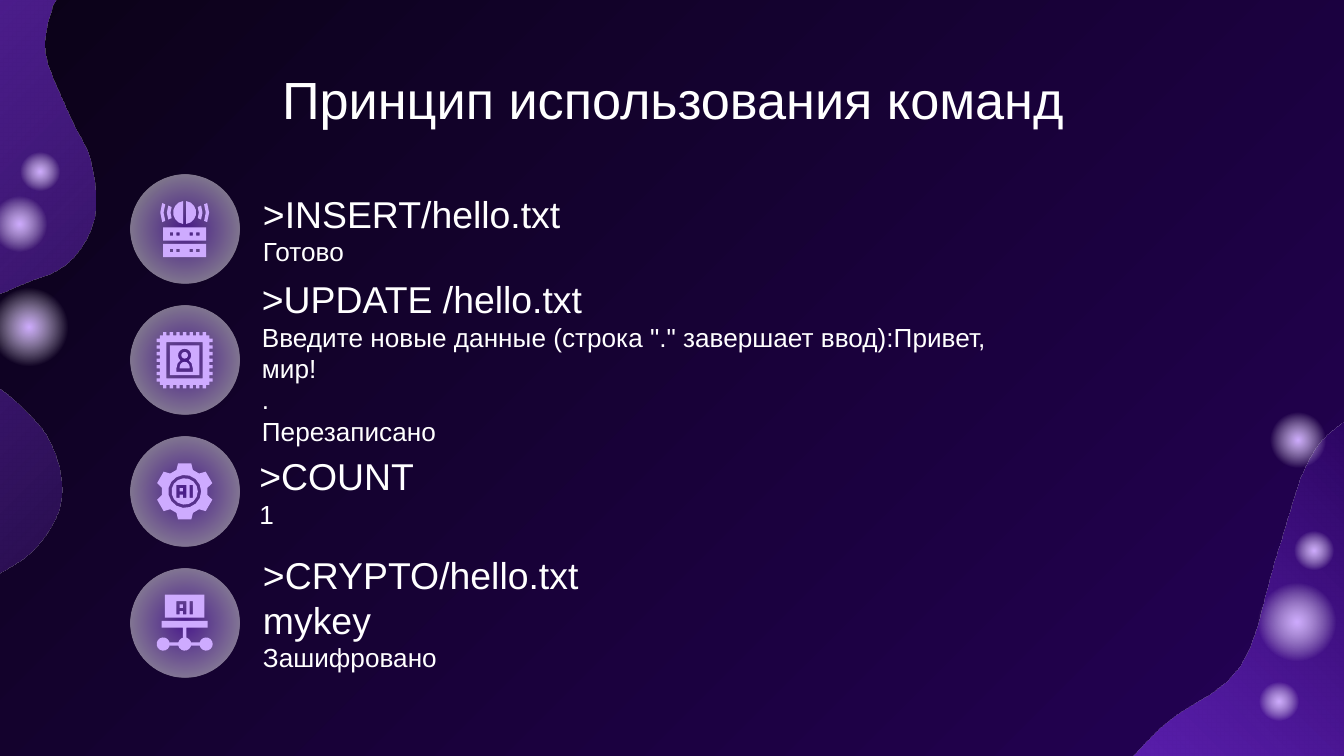
import math

import pptx
import pptx.dml.color
import pptx.enum.shapes
import pptx.enum.text
import pptx.oxml
import pptx.oxml.ns
import pptx.util
from pptx.util import Cm
from lxml import etree

ANCHOR = pptx.enum.text.MSO_ANCHOR
ALIGN = pptx.enum.text.PP_ALIGN
LILAC = "CEABFF"
GLOW = [(0, LILAC, 100), (57, "FFFFFF", 0), (100, "FFFFFF", 0)]
DISC = [(0, "8134EC", 49), (77, "FFFFFF", 49), (100, "FFFFFF", 49)]
GRID = 17  # icon cells per side
CENTRE = GRID / 2

LEFT_EDGE = [(0.97, 0.13), (0.84, 1.02), (1.32, 2.24), (1.7, 3.07),
             (1.77, 4.13), (1.24, 5), (0.28, 5.43), (-0.66, 5.94), (-0.61, 6.88),
             (0.23, 7.54), (0.95, 8.39), (1.14, 9.47), (0.61, 10.41), (-0.33, 11)]
LEFT_CORNERS = [(-0.94, 11.94), (-0.81, 13.11), (-2.16, 17.42), (-2.72, 17.78),
                (-7.72, 1.6), (1.63, -1.02)]
RIGHT_EDGE = [(26.34, 7.57), (25.43, 7.95), (24.71, 8.74), (24.1, 10.59), (23.44, 12.6),
              (21.95, 13.74), (20.68, 15.16)]
RIGHT_CORNERS = [(20.09, 16.94), (26.42, 17.12), (26.64, 11.3)]
GLOWS = [(23.6, 10.85, 1.83), (24.38, 9.96, 0.91), (23.72, 12.8, 0.91), (23.88, 7.67, 1.3),
         (-0.28, 3.58, 1.3), (-0.36, 5.26, 1.83), (0.3, 2.79, 0.91)]


def colour(code):
    return pptx.dml.color.RGBColor.from_string(code)


def set_gradient(owner, fill, stops, angle=None):
    """Fill with (percent, colour, opacity) stops: linear at an angle, else radial."""
    fill.gradient()
    grad = owner.element.find(".//" + pptx.oxml.ns.qn("a:gradFill"))
    for child in list(grad):
        grad.remove(child)
    marks = "".join(
        f'<a:gs pos="{pos * 1000}"><a:srgbClr val="{code}">'
        f'<a:alpha val="{opacity * 1000}"/></a:srgbClr></a:gs>'
        for pos, code, opacity in stops)
    if angle is None:
        course = ('<a:path path="circle"><a:fillToRect l="50000" t="50000" '
                  'r="50000" b="50000"/></a:path>')
    else:
        course = f'<a:lin ang="{angle * 60000}" scaled="0"/>'
    holder = pptx.oxml.parse_xml(
        f'<a:gradFill {pptx.oxml.ns.nsdecls("a")}><a:gsLst>{marks}</a:gsLst>{course}</a:gradFill>')
    for child in list(holder):
        grad.append(child)


def draw_outline(page, contours, left=0, top=0, unit=1):
    """Draw closed contours, given in units of so many centimetres, as one shape."""
    placed = [[(Cm(left + x * unit), Cm(top + y * unit)) for x, y in contour]
              for contour in contours]
    builder = page.shapes.build_freeform(*placed[0][0])
    for number, contour in enumerate(placed):
        if number:
            builder.move_to(*contour[0])
        builder.add_line_segments(contour[1:], close=True)
    shape = builder.convert_to_shape()
    shape.shadow.inherit = False
    shape.line.fill.background()
    return shape


def draw_disc(page, box, stops):
    disc = page.shapes.add_shape(pptx.enum.shapes.MSO_SHAPE.OVAL, *map(Cm, box))
    disc.shadow.inherit = False
    disc.line.fill.background()
    set_gradient(disc, disc.fill, stops)


def smooth(points, steps=5):
    """Return a Catmull-Rom curve through the points."""
    padded = [points[0], *points, points[-1]]
    curve = []
    for a, b, c, d in zip(padded, padded[1:], padded[2:], padded[3:]):
        for t in (step / steps for step in range(steps)):
            curve.append(tuple(
                q + t * (r - p) / 2 + t ** 2 * (2 * p - 5 * q + 4 * r - s) / 2
                + t ** 3 * (3 * q - p - 3 * r + s) / 2
                for p, q, r, s in zip(a, b, c, d)))
    return curve + [points[-1]]


def arc(x, y, radius, start=0, end=360):
    steps = max(2, round((end - start) / 24))
    angles = [math.radians(start + (end - start) * k / steps) for k in range(steps + 1)]
    return [(x + radius * math.cos(a), y + radius * math.sin(a)) for a in angles]


def rect(left, top, right, bottom):
    return [(left, top), (right, top), (right, bottom), (left, bottom)]


def letters(top):
    """Contours of the small "AI" sign cut into two of the icons."""
    a_shape = [(6, top), (9, top), (9, top + 4), (8, top + 4), (8, top + 3),
               (7, top + 3), (7, top + 4), (6, top + 4)]
    return [a_shape, rect(7, top + 1, 8, top + 2), rect(10, top, 11, top + 4)]


def server_icon():
    globe = [arc(CENTRE, 3.5, 3.5, 98, 262), arc(CENTRE, 3.5, 3.5, -82, 82)]
    waves = []
    for inner, outer in ((4.3, 5.4), (6.4, 7.4)):
        for middle in (0, 180):
            span = middle - 23, middle + 23
            waves.append(arc(CENTRE, 3.5, inner, *span) + arc(CENTRE, 3.5, outer, *span)[::-1])
    racks = []
    for top in (8, 13):
        lamps = [rect(x, top + 1.5, x + 1, top + 2.5) for x in (4, 6, 10, 12)]
        racks.append([rect(2, top, 15, top + 4), *lamps])
    return [globe, waves, *racks]


def chip_icon():
    side = [(1, 1)]
    for x in range(2, 15, 2):
        side += [(x, 1), (x, 0), (x + 1, 0), (x + 1, 1)]
    rim = []
    for _ in range(4):
        rim += side
        side = [(GRID - y, x) for x, y in side]
    figure = arc(CENTRE, 7, 2, 130, 410) + [(10.6, 9.4), (11, 11), (11, 12),
                                            (6, 12), (6, 11), (6.4, 9.4)]
    body = arc(CENTRE, 10.5, 1.5, 180, 360) + [(10, 11), (7, 11)]
    return [[rim, rect(3, 3, 14, 14)],
            [rect(4, 4, 13, 13), figure, arc(CENTRE, 7, 1), body]]


def gear_icon():
    rim = []
    for turn in (math.radians(60 * k) for k in range(6)):
        for x, y in ((-2.5, -6.5), (-2, -8.5), (2, -8.5), (2.5, -6.5)):
            rim.append((CENTRE + x * math.cos(turn) - y * math.sin(turn),
                        CENTRE + x * math.sin(turn) + y * math.cos(turn)))
    return [[rim, arc(CENTRE, CENTRE, 5)], [arc(CENTRE, CENTRE, 4), *letters(6.5)]]


def network_icon():
    nodes = [arc(x, 15, 2) for x in (2, CENTRE, 15)]
    links = [rect(8, 10, 9, 13), rect(4, 14.5, 6.5, 15.5), rect(10.5, 14.5, 13, 15.5)]
    return [[rect(2.5, 0, 14.5, 7), *letters(2)],
            [rect(1.5, 8, 15.5, 10), *links, *nodes]]


def draw_badge(page, left, top, size, icon):
    draw_disc(page, (left, top, size, size), DISC)
    side = 1.06
    margin = (size - side) / 2
    for contours in icon():
        part = draw_outline(page, contours, left + margin, top + margin, side / GRID)
        part.fill.solid()
        part.fill.fore_color.rgb = colour(LILAC)


def draw_backdrop(page):
    set_gradient(page, page.background.fill, [(0, "0B0218", 100), (100, "240155", 100)], 45)
    left = draw_outline(page, [smooth(LEFT_EDGE) + LEFT_CORNERS])
    set_gradient(left, left.fill, [(0, "0B0218", 100), (100, "8134EC", 70)], 225)
    right = draw_outline(page, [smooth(RIGHT_EDGE) + RIGHT_CORNERS])
    set_gradient(right, right.fill, [(0, "8134EC", 70), (100, "240155", 100)], 315)
    for x, y, size in GLOWS:
        draw_disc(page, (x, y, size, size), GLOW)


def fill_text(holder, box, lines, align=ALIGN.LEFT, **frame_format):
    """Place a placeholder and write its (text, size) lines."""
    for name, value in zip(("left", "top", "width", "height"), box):
        setattr(holder, name, Cm(value))
    frame = holder.text_frame
    settings = {"word_wrap": True, "auto_size": pptx.enum.text.MSO_AUTO_SIZE.NONE,
                **{f"margin_{side}": Cm(0.25) for side in ("left", "top", "right", "bottom")},
                **frame_format}
    for name, value in settings.items():
        setattr(frame, name, value)
    for number, (text, size) in enumerate(lines):
        para = frame.add_paragraph() if number else frame.paragraphs[0]
        props = para._p.get_or_add_pPr()
        props.set("marL", "0")
        props.set("indent", "0")
        etree.SubElement(props, pptx.oxml.ns.qn("a:buNone"))
        para.alignment = align
        para.space_before = pptx.util.Pt(0)
        span = para.add_run()
        span.text = text
        for name, value in {"name": "Arial", "size": pptx.util.Pt(size), "bold": False}.items():
            setattr(span.font, name, value)
        span.font.color.rgb = colour("FFFFFF")


def main():
    deck = pptx.Presentation()
    deck.slide_width, deck.slide_height = Cm(25.4), Cm(14.29)
    page = deck.slides.add_slide(deck.slide_layouts.get_by_name("Comparison"))
    draw_backdrop(page)
    fill_text(page.shapes.title, (2.01, 1.02, 21.41, 1.6),
              [("Принцип использования команд", 28)], ALIGN.CENTER, vertical_anchor=ANCHOR.TOP)
    commands = [
        (server_icon, (4.72, 3.51, 8.15, 1.63), [">INSERT/hello.txt", "Готово"]),
        (chip_icon, (4.7, 5.23, 15.29, 3.2),
         [">UPDATE /hello.txt",
          'Введите новые данные (строка "." завершает ввод):Привет, мир!', ".", "Перезаписано"]),
        (gear_icon, (4.65, 8.41, 5.89, 1.75), [">COUNT", "1"]),
        (network_icon, (4.72, 10.41, 8.36, 2.34), [">CRYPTO/hello.txt mykey", "Зашифровано"]),
    ]
    holders = list(page.placeholders)[1:]
    for row, (holder, (icon, box, (command, *replies))) in enumerate(zip(holders, commands)):
        lines = [(command, 20), *((reply, 14) for reply in replies)]
        fill_text(holder, box, lines, vertical_anchor=ANCHOR.MIDDLE)
        draw_badge(page, 2.46, 3.3 + 2.48 * row, 2.06, icon)
    deck.save("out.pptx")


if __name__ == "__main__":
    main()
